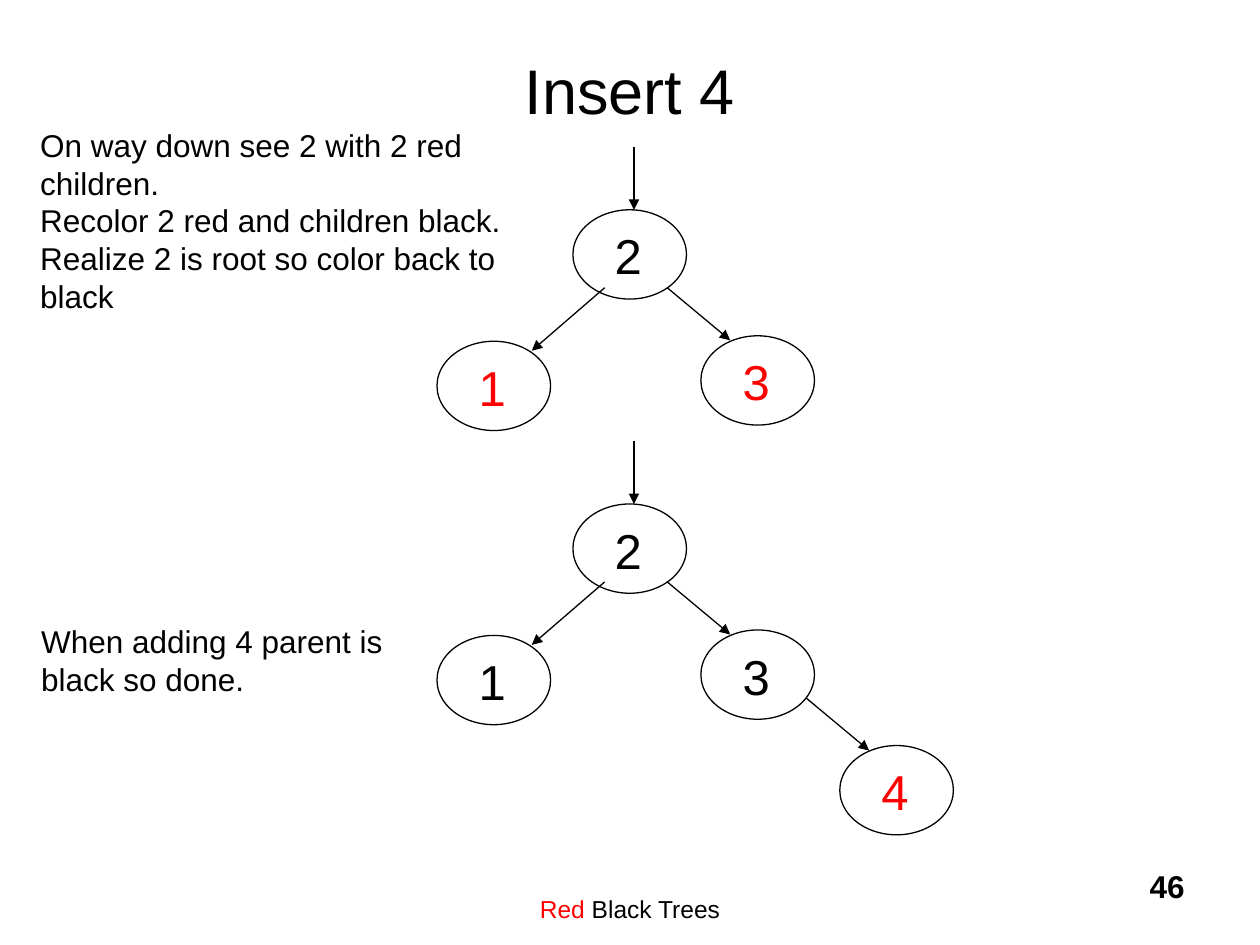
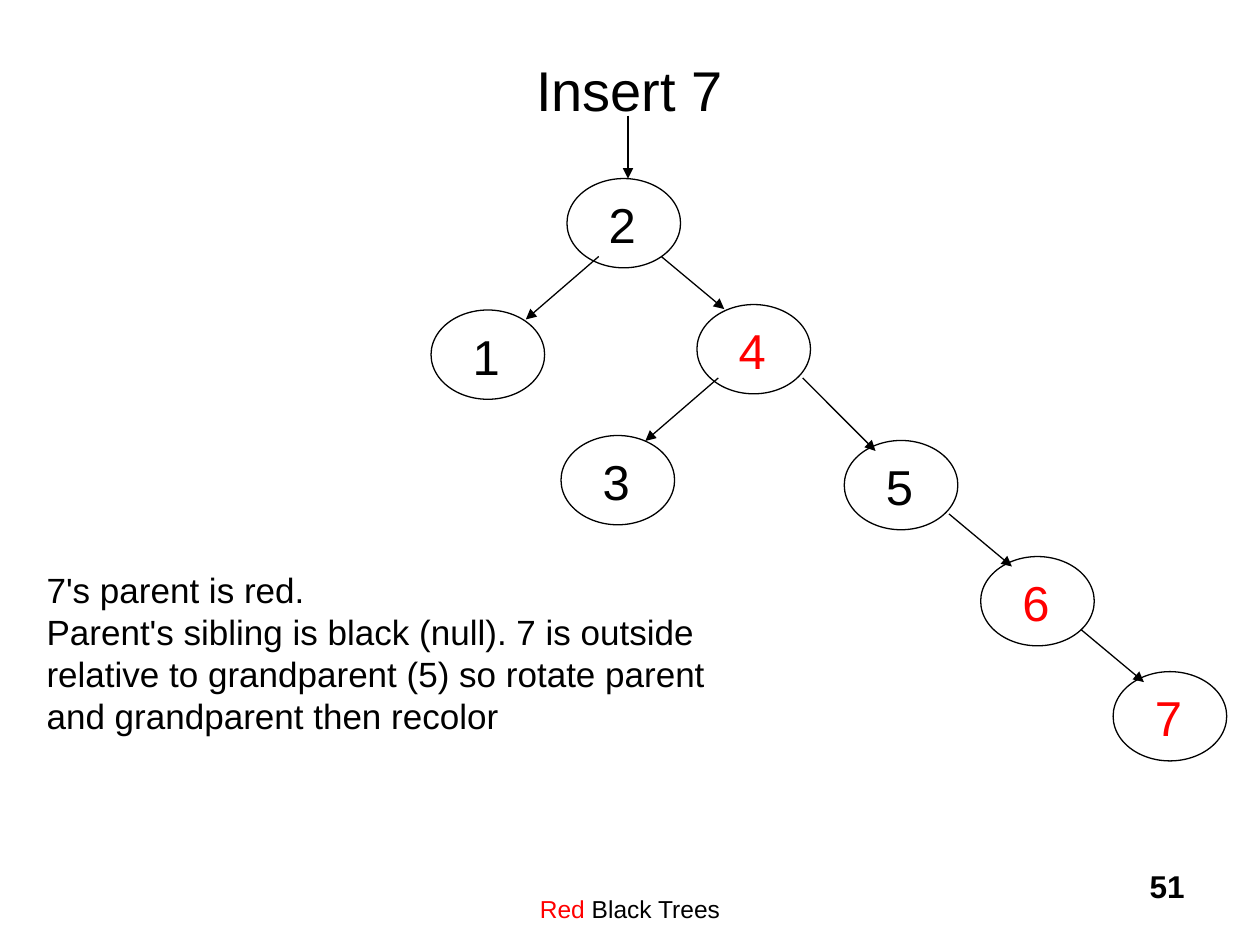
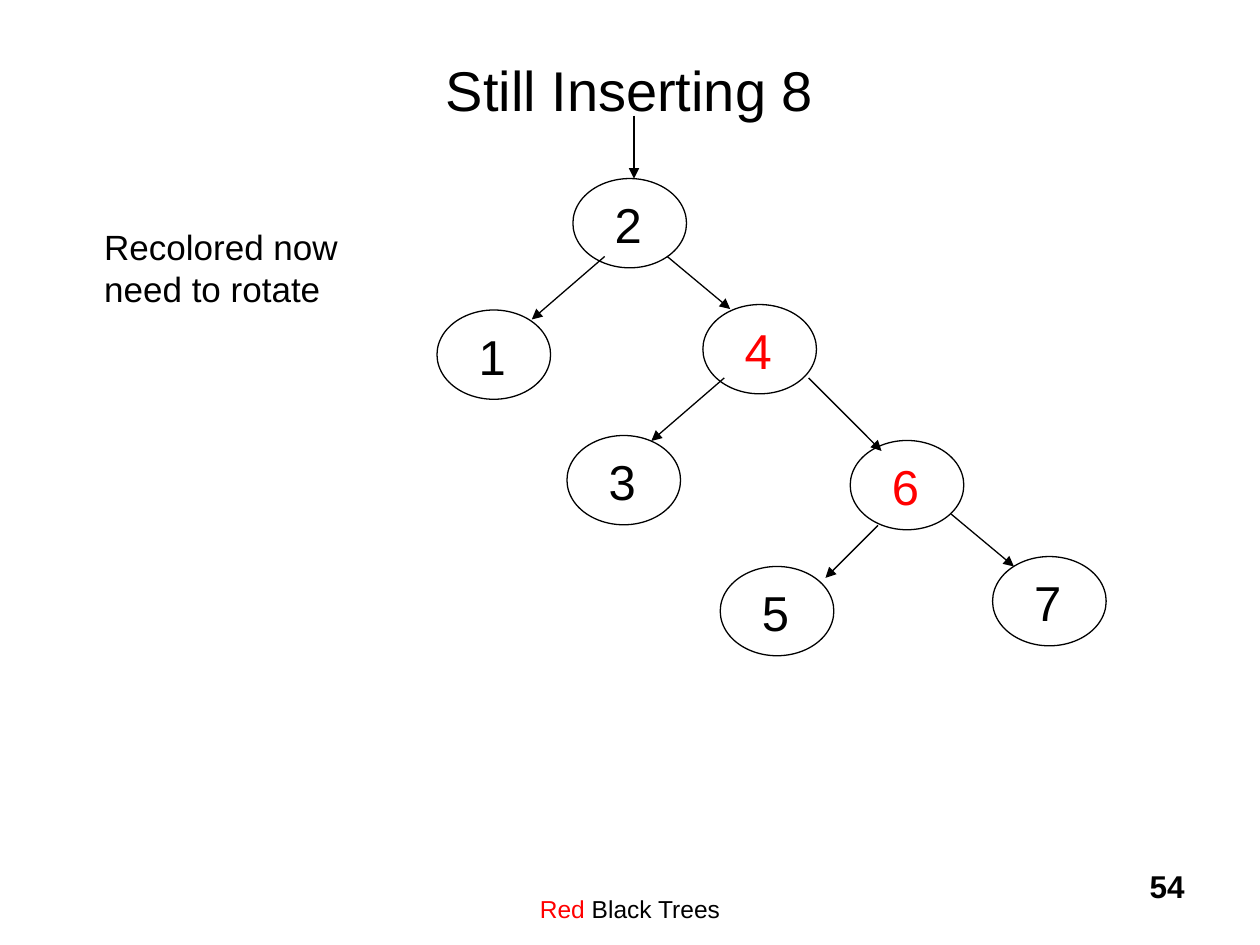
from lxml import etree
from pptx import Presentation
from pptx.dml.color import RGBColor
from pptx.enum import shapes, text
from pptx.oxml import ns
from pptx.util import Cm, Pt

FONT, BLACK, RED = "Arial", "000000", "FF0000"
NODE_W, NODE_H = 2.29, 1.8
LABEL_DX, LABEL_DY, LABEL_W, LABEL_H = 0.59, 0.2, 1.07, 1.45
ENTRY_X, ENTRY_LENGTH = 1.23, 1.27

# Arrow directions (cm)
LEFT, RIGHT = (-1.47, 1.27), (1.27, 1.06)
STEEP_RIGHT, SHORT_LEFT = (1.47, 1.47), (-1.06, 1.06)

# Nodes: label, colour, offset from the root; edges: start offset, direction
ROOT = ("2", BLACK, 0, 0)
ROOT_EDGES = [(0.64, 1.57, LEFT), (1.9, 1.57, RIGHT)]
UPPER_NODES = [ROOT, ("1", BLACK, -2.74, 2.65), ("4", RED, 2.62, 2.54),
               ("3", BLACK, -0.12, 5.18)]
UPPER_EDGES = ROOT_EDGES + [(3.05, 4.02, LEFT), (4.75, 4.02, STEEP_RIGHT)]

SLIDES = [
    {"title": "Insert 4", "title_size": 36, "number": "46",
     "notes": [
         {"box": (0.56, 2.41, 10.97, 4.09), "size": 18, "lines": [
             "On way down see 2 with 2 red children.",
             "Recolor 2 red and children black.",
             "Realize 2 is root so color back to black"]},
         {"box": (0.58, 12.42, 7.57, 1.8), "size": 18, "lines": [
             "When adding 4 parent is black so done."]}],
     "trees": [
         {"at": (11.55, 4.23), "edges": ROOT_EDGES,
          "nodes": [ROOT, ("1", RED, -2.74, 2.65), ("3", RED, 2.58, 2.54)]},
         {"at": (11.55, 10.16), "edges": ROOT_EDGES + [(4.7, 3.91, RIGHT)],
          "nodes": [ROOT, ("1", BLACK, -2.74, 2.65),
                    ("3", BLACK, 2.58, 2.54), ("4", RED, 5.38, 4.87)]}]},
    {"title": "Insert 7", "title_size": 32, "number": "51",
     "notes": [
         {"box": (0.69, 11.33, 13.79, 3.68), "size": 20, "lines": [
             "7's parent is red.",
             "Parent's sibling is black (null). 7 is outside relative to "
             "grandparent (5) so rotate parent and grandparent then recolor"]}],
     "trees": [
         {"at": (11.43, 3.6),
          "edges": UPPER_EDGES + [(7.7, 6.76, RIGHT), (10.36, 9.09, RIGHT)],
          "nodes": UPPER_NODES + [("5", BLACK, 5.59, 5.28),
                                  ("6", RED, 8.34, 7.62),
                                  ("7", RED, 11.01, 9.94)]}]},
    {"title": "Still Inserting 8", "title_size": 32, "number": "54",
     "notes": [
         {"box": (1.85, 4.42, 5.26, 1.96), "size": 20, "wrap": False,
          "lines": ["Recolored now", "need to rotate"]}],
     "trees": [
         {"at": (11.55, 3.6),
          "edges": UPPER_EDGES + [(6.15, 6.99, SHORT_LEFT),
                                  (7.62, 6.76, RIGHT)],
          "nodes": UPPER_NODES + [("6", RED, 5.59, 5.28),
                                  ("5", BLACK, 2.97, 7.82),
                                  ("7", BLACK, 8.46, 7.62)]}]},
]


def color(hex_string):
    return RGBColor.from_string(hex_string)


def add_text(parent, box, lines, size, align=text.PP_ALIGN.LEFT, bold=False,
             wrap=True):
    """Each line is a list of (text, colour) runs, split by line breaks."""
    tf = parent.add_textbox(*map(Cm, box)).text_frame
    tf.word_wrap = wrap
    p = tf.paragraphs[0]
    p.alignment = align
    for i, runs in enumerate(lines):
        if i:
            p.add_line_break()
        for words, hex_string in runs:
            r = p.add_run()
            r.text = words
            r.font.name, r.font.size, r.font.bold = FONT, Pt(size), bold
            r.font.color.rgb = color(hex_string)
    return tf


def add_arrow(s, x, y, direction):
    dx, dy = direction
    line = s.shapes.add_connector(shapes.MSO_CONNECTOR.STRAIGHT, Cm(x), Cm(y),
                                  Cm(x + dx), Cm(y + dy))
    line.line.color.rgb = color(BLACK)
    line.line.width = Pt(0.75)
    etree.SubElement(line.line._get_or_add_ln(), ns.qn("a:tailEnd"),
                     type="triangle")
    etree.SubElement(line._element.spPr, ns.qn("a:effectLst"))


def add_node(s, label, hex_string, x, y):
    group = s.shapes.add_group_shape().shapes
    sp = group.add_shape(shapes.MSO_SHAPE.OVAL, Cm(x), Cm(y),
                         Cm(NODE_W), Cm(NODE_H))
    sp.shadow.inherit = False
    sp.fill.background()
    sp.line.color.rgb = color(BLACK)
    sp.line.width = Pt(0.75)
    add_text(group, (x + LABEL_DX, y + LABEL_DY, LABEL_W, LABEL_H),
             [[(label, hex_string)]], 28, wrap=False)


def add_tree(s, tree):
    x, y = tree["at"]
    for label, hex_string, dx, dy in tree["nodes"]:
        add_node(s, label, hex_string, x + dx, y + dy)
    add_arrow(s, x + ENTRY_X, y - ENTRY_LENGTH, (0, ENTRY_LENGTH))
    for dx, dy, direction in tree["edges"]:
        add_arrow(s, x + dx, y + dy, direction)


def add_frame(s, content):
    # Footer, page number and title
    tf = add_text(s.shapes, (7.83, 17.36, 9.74, 1.27),
                  [[("Red", RED), (" Black Trees", BLACK)]], 14,
                  text.PP_ALIGN.CENTER)
    tf.margin_top, tf.margin_bottom = Cm(0.72), 0
    add_text(s.shapes, (18.84, 17.36, 5.29, 1.27),
             [[(content["number"], BLACK)]], 18, text.PP_ALIGN.RIGHT, True)
    tf = add_text(s.shapes, (1.9, 0.21, 21.59, 3.18),
                  [[(content["title"], BLACK)]], content["title_size"],
                  text.PP_ALIGN.CENTER)
    tf.vertical_anchor = text.MSO_ANCHOR.MIDDLE


def main():
    prs = Presentation()
    prs.slide_width, prs.slide_height = Cm(25.4), Cm(19.05)
    for content in SLIDES:
        s = prs.slides.add_slide(prs.slide_layouts[6])
        add_frame(s, content)
        for tree in content["trees"]:
            add_tree(s, tree)
        for note in content["notes"]:
            add_text(s.shapes, note["box"],
                     [[(line, BLACK)] for line in note["lines"]],
                     note["size"], wrap=note.get("wrap", True))
    prs.save("out.pptx")


if __name__ == "__main__":
    main()
